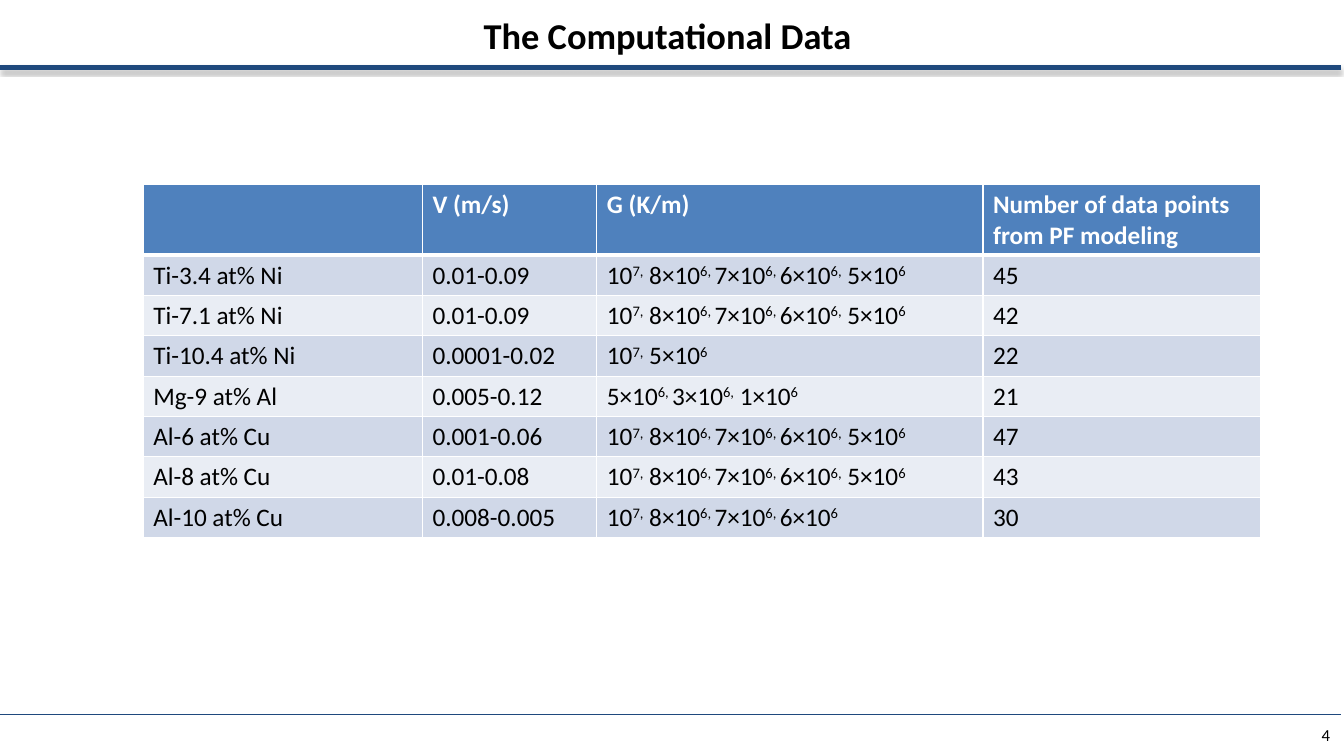
from pptx import Presentation
from pptx import util as u
from pptx.dml.color import RGBColor
from pptx.enum import shapes, text
from pptx.oxml import parse_xml
from pptx.oxml.ns import nsdecls

TITLE = "The Computational Data "
PAGE = "4"
HEADER = ("", "V (m/s)", "G (K/m)", "Number of data points from PF modeling")
FOUR_G = "10^7,^ 8×10^6, ^7×10^6, ^6×10^6"
FIVE_G = FOUR_G + ",^ 5×10^6"
ALLOYS = [
    ("Ti-3.4 at% Ni", "0.01-0.09", FIVE_G, "45"),
    ("Ti-7.1 at% Ni", "0.01-0.09", FIVE_G, "42"),
    ("Ti-10.4 at% Ni", "0.0001-0.02", "10^7,^ 5×10^6", "22"),
    ("Mg-9 at% Al", "0.005-0.12", "5×10^6, ^3×10^6,^ 1×10^6", "21"),
    ("Al-6 at% Cu", "0.001-0.06", FIVE_G, "47"),
    ("Al-8 at% Cu", "0.01-0.08", FIVE_G, "43"),
    ("Al-10 at% Cu", "0.008-0.005", FOUR_G, "30"),
]
COL_WIDTHS = (2.77, 1.73, 3.83, 2.75)
HEADER_HEIGHT, ROW_HEIGHT = 0.7, 0.4

THEME = {
    "font": "Calibri", "title": 26, "cell": 18, "page": 12,
    "ink": "000000", "rule": "1F497D", "border": "FFFFFF",
    "header_fill": "4F81BD", "header_ink": "FFFFFF",
    "bands": ("D0D8E8", "E9EDF4"),
}
SHADOW = (
    '<a:outerShdw blurRad="40000" dist="23000" dir="5400000" rotWithShape="0">'
    '<a:srgbClr val="000000"><a:alpha val="35000"/></a:srgbClr></a:outerShdw>'
)


def style(p, size, color, bold=False, align=text.PP_ALIGN.LEFT):
    p.alignment = align
    p.font.name = THEME["font"]
    p.font.size = u.Pt(size)
    p.font.bold = bold
    p.font.color.rgb = RGBColor.from_string(color)


def add_rule(slide, y, width, effect=""):
    line = slide.shapes.add_connector(
        shapes.MSO_CONNECTOR.STRAIGHT, 0, u.Inches(y), u.Inches(13.3), u.Inches(y))
    line.line.color.rgb = RGBColor.from_string(THEME["rule"])
    line.line.width = u.Pt(width)
    line._element.spPr.append(
        parse_xml(f'<a:effectLst {nsdecls("a")}>{effect}</a:effectLst>'))


def set_borders(cell, widths):
    tcPr = cell._tc.get_or_add_tcPr()
    for side, width in zip("LRTB", widths):
        tcPr.append(parse_xml(
            f'<a:ln{side} {nsdecls("a")} w="{u.Pt(width)}"><a:solidFill>'
            f'<a:srgbClr val="{THEME["border"]}"/></a:solidFill></a:ln{side}>'))


def fill_cell(cell, content, fill, color, bold, widths):
    set_borders(cell, widths)
    cell.fill.solid()
    cell.fill.fore_color.rgb = RGBColor.from_string(fill)
    p = cell.text_frame.paragraphs[0]
    style(p, THEME["cell"], color, bold)
    for i, part in enumerate(content.split("^")):
        if part:
            r = p.add_run()
            r.text = part
            if i % 2:
                r.font._element.set("baseline", "30000")


def add_title(slide):
    sp = slide.shapes.title
    sp.left, sp.top, sp.width, sp.height = (
        u.Inches(v) for v in (0, 0.08, 13.33, 0.54))
    tf = sp.text_frame
    tf.text = TITLE
    tf.auto_size = text.MSO_AUTO_SIZE.NONE
    tf.vertical_anchor = text.MSO_ANCHOR.TOP
    style(tf.paragraphs[0], THEME["title"], THEME["ink"], True, text.PP_ALIGN.CENTER)


def add_page_number(slide):
    sp = slide.shapes.add_textbox(*(u.Inches(v) for v in (12.22, 7.13, 1.07, 0.33)))
    tf = sp.text_frame
    tf.word_wrap = True
    tf.vertical_anchor = text.MSO_ANCHOR.MIDDLE
    tf.text = PAGE
    style(tf.paragraphs[0], THEME["page"], THEME["ink"], align=text.PP_ALIGN.RIGHT)


def add_data_table(slide):
    rows = [HEADER, *ALLOYS]
    height = HEADER_HEIGHT + ROW_HEIGHT * len(ALLOYS)
    table = slide.shapes.add_table(
        len(rows), len(HEADER), u.Inches(1.42), u.Inches(1.83),
        u.Inches(sum(COL_WIDTHS)), u.Inches(height)).table
    for col, width in zip(table.columns, COL_WIDTHS):
        col.width = u.Inches(width)
    for i, row in enumerate(rows):
        is_header = i == 0
        table.rows[i].height = u.Inches(HEADER_HEIGHT if is_header else ROW_HEIGHT)
        fill = THEME["header_fill"] if is_header else THEME["bands"][(i - 1) % 2]
        color = THEME["header_ink"] if is_header else THEME["ink"]
        widths = (1, 1, 3 if i == 1 else 1, 3 if is_header else 1)
        for j, content in enumerate(row):
            fill_cell(table.cell(i, j), content, fill, color, is_header, widths)


def main():
    prs = Presentation()
    prs.slide_width, prs.slide_height = u.Inches(13.33), u.Inches(7.5)
    slide = prs.slides.add_slide(prs.slide_layouts[5])
    add_title(slide)
    add_page_number(slide)
    add_rule(slide, 0.67, 3, SHADOW)
    add_rule(slide, 7.09, 0.75)
    add_data_table(slide)
    prs.save("out.pptx")


if __name__ == "__main__":
    main()
